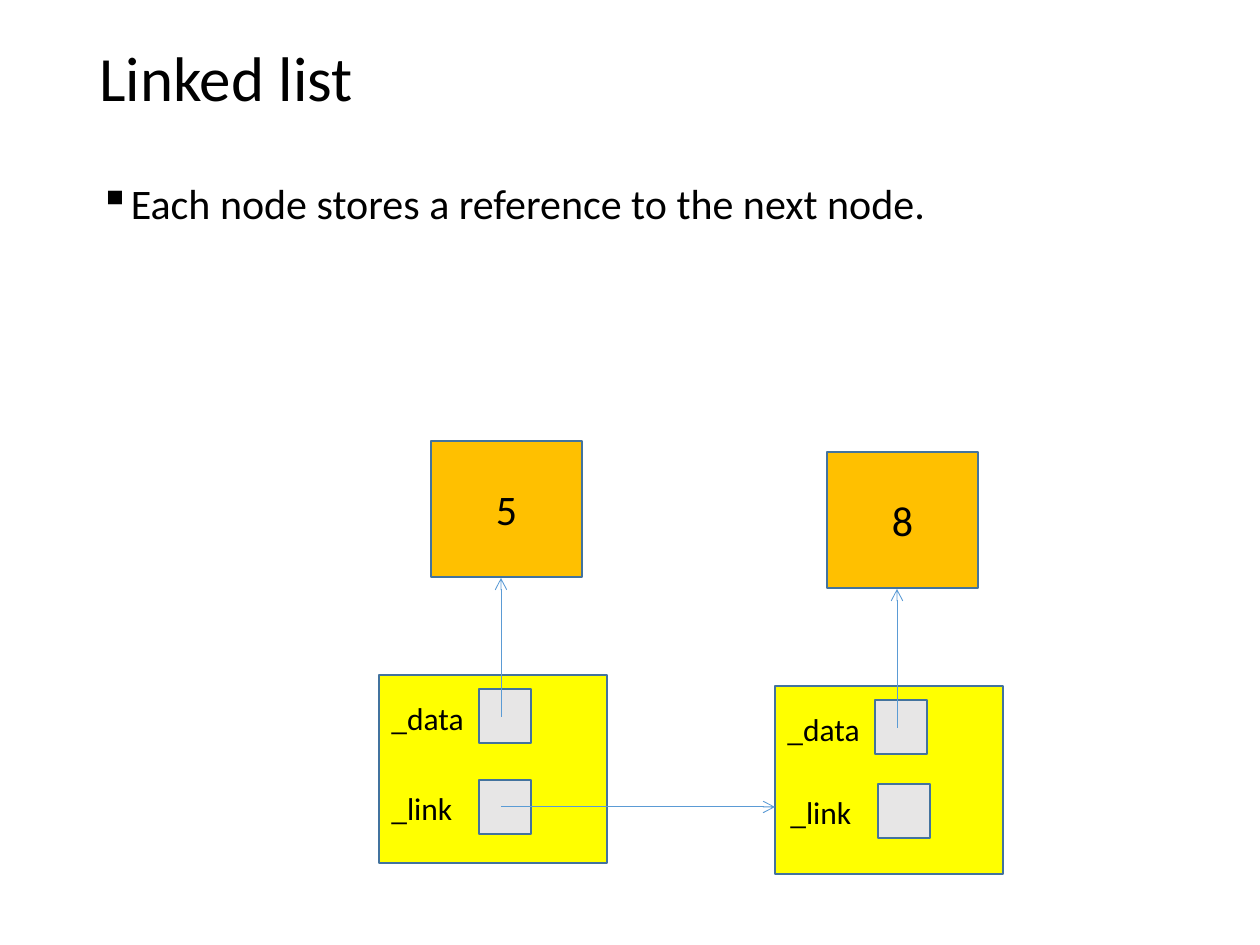
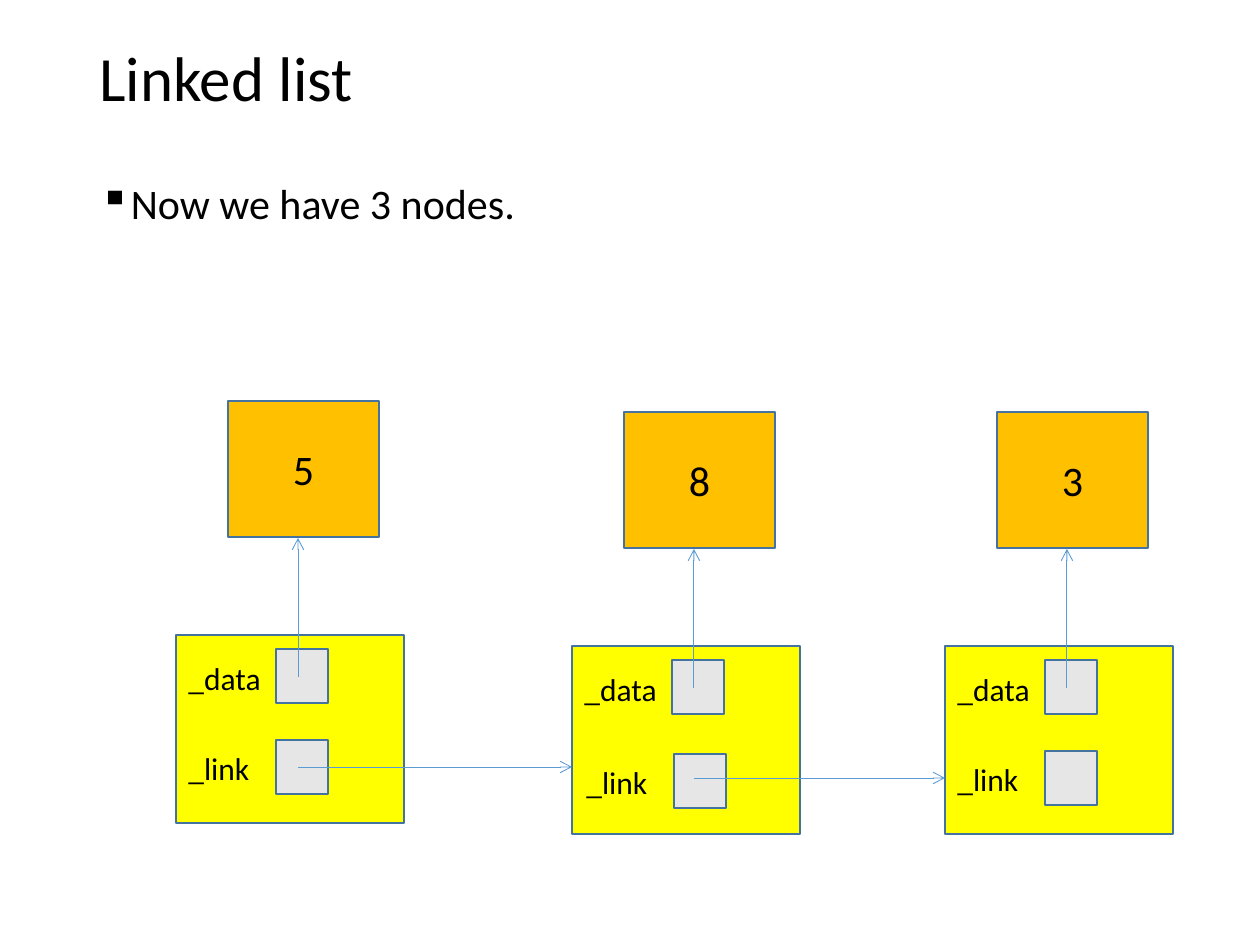
"""Builds two slides that show a linked list growing from two to three nodes."""
from lxml import etree
from pptx import Presentation
from pptx.dml.color import RGBColor
from pptx.enum.shapes import MSO_CONNECTOR, MSO_SHAPE
from pptx.enum.text import MSO_ANCHOR, MSO_AUTO_SIZE, PP_ALIGN
from pptx.oxml.ns import qn
from pptx.util import Emu, Inches, Pt

RECT = MSO_SHAPE.RECTANGLE
STRAIGHT = MSO_CONNECTOR.STRAIGHT
TOP, MIDDLE = MSO_ANCHOR.TOP, MSO_ANCHOR.MIDDLE
LEFT, CENTER = PP_ALIGN.LEFT, PP_ALIGN.CENTER
GROW = MSO_AUTO_SIZE.SHAPE_TO_FIT_TEXT

BLACK = RGBColor(0x00, 0x00, 0x00)
YELLOW = RGBColor(0xFF, 0xFF, 0x00)
ORANGE = RGBColor(0xFF, 0xC0, 0x00)
GRAY = RGBColor(0xE7, 0xE6, 0xE6)
EDGE = RGBColor(0x43, 0x73, 0x9E)
BLUE = RGBColor(0x5B, 0x9B, 0xD5)

FONT = "Calibri"
SCALE = Inches(1) // 126
NODE = (228, 188)
SLOT = (52, 54)
VALUE = (151, 136)
PIN = 122  # x of the arrow tails, from the left edge of a node
LINK = 132  # y of the link arrow, from the top edge of a node


def px(*nums):
    """Turn pixels into EMU."""
    return [Emu(num * SCALE) for num in nums]


def write(frame, text, size=24, align=LEFT, anchor=TOP, space=1.0, wrap=True):
    """Put one formatted paragraph into a text frame and return it."""
    frame.word_wrap = wrap
    frame.vertical_anchor = anchor
    para = frame.paragraphs[0]
    para.alignment = align
    para.line_spacing = space
    run = para.add_run()
    run.text = text
    run.font.name = FONT
    run.font.size = Pt(size)
    run.font.color.rgb = BLACK
    return para


class Deck:
    """Holds the presentation, its style and the current slide."""

    def __init__(self):
        """Start an empty 10 by 7.5 inch deck."""
        self.prs = Presentation()
        self.prs.slide_width = Inches(10)
        self.prs.slide_height = Inches(7.5)
        self.slide = None

    def page(self, title, point):
        """Add a slide with its title and one bullet."""
        self.slide = self.prs.slides.add_slide(self.prs.slide_layouts[6])
        self.text(title, 87, 4, 1086, 155, size=36, anchor=MIDDLE, space=0.9)
        para = self.text(point, 87, 146, 1086, 123, space=1.5)
        props = para._p.get_or_add_pPr()
        props.set("marL", str(Inches(0.25)))
        props.set("indent", str(-Inches(0.25)))
        etree.SubElement(props, qn("a:buChar")).set("char", "▪")

    def text(self, text, x, y, w, h, **style):
        """Add a text box and return its paragraph."""
        box = self.slide.shapes.add_textbox(*px(x, y, w, h))
        return write(box.text_frame, text, **style)

    def label(self, text, x, y, w):
        """Add a field name that does not wrap."""
        box = self.slide.shapes.add_textbox(*px(x, y, w, 50))
        write(box.text_frame, text, size=18, wrap=False)
        box.text_frame.auto_size = GROW

    def box(self, x, y, size, fill, text=None):
        """Add an outlined rectangle, with centred text if given."""
        shape = self.slide.shapes.add_shape(RECT, *px(x, y, *size))
        shape.shadow.inherit = False
        shape.fill.solid()
        shape.fill.fore_color.rgb = fill
        shape.line.color.rgb = EDGE
        shape.line.width = Pt(1)
        if text:
            write(shape.text_frame, text, align=CENTER, anchor=MIDDLE)

    def arrow(self, x1, y1, x2, y2):
        """Add a thin line with an open head at its end."""
        line = self.slide.shapes.add_connector(STRAIGHT, *px(x1, y1, x2, y2))
        line.line.color.rgb = BLUE
        line.line.width = Pt(0.5)
        head = etree.SubElement(line.line._get_or_add_ln(), qn("a:tailEnd"))
        head.set("type", "arrow")
        etree.SubElement(line._element.spPr, qn("a:effectLst"))

    def node(self, value, x, y, dx=0, dy=0):
        """Draw a node and its value; dx and dy shift the link field."""
        self.box(x, y, NODE, YELLOW)
        self.box(x + 100, y + 14, SLOT, GRAY)
        self.box(x + 52, y - 234, VALUE, ORANGE, value)
        self.arrow(x + PIN, y + 42, x + PIN, y - 97)
        self.label("_data", x, y + 18, 98)
        self.box(x + 100 + dx, y + 105 + dy, SLOT, GRAY)
        self.label("_link", x + dx, y + 108 + dy, 87)

    def chain(self, nodes):
        """Draw the nodes, then link each one to the next."""
        for node in nodes:
            self.node(*node)
        for here, after in zip(nodes, nodes[1:]):
            x, y = here[1:3]
            self.arrow(x + PIN, y + LINK, after[1], y + LINK)


PAGES = [
    ("Each node stores a reference to the next node.",
     [("5", 379, 675), ("8", 775, 686, 3, -7)]),
    ("Now we have 3 nodes.",
     [("5", 176, 635), ("8", 572, 646, 2, 3), ("3", 945, 646)]),
]

deck = Deck()
for point, nodes in PAGES:
    deck.page("Linked list", point)
    deck.chain(nodes)
deck.prs.save("out.pptx")
